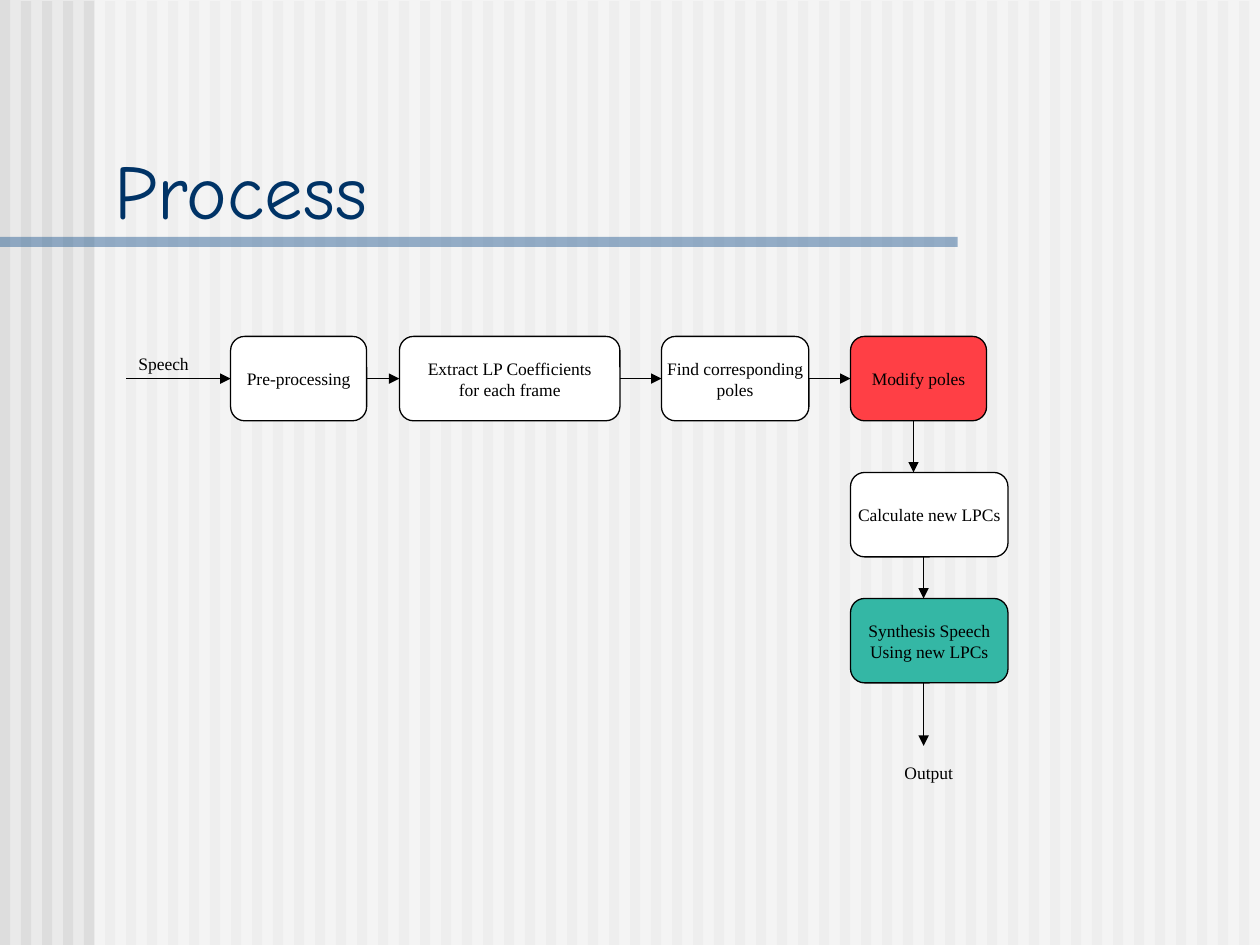
from typing import Any, NamedTuple, Optional

import pptx
import pptx.dml.color
import pptx.enum.shapes
import pptx.enum.text
import pptx.oxml.ns
import pptx.util
from lxml import etree

Inches = pptx.util.Inches
Pt = pptx.util.Pt
qn = pptx.oxml.ns.qn
Shape = pptx.enum.shapes.MSO_SHAPE
Anchor = pptx.enum.text.MSO_ANCHOR
Align = pptx.enum.text.PP_ALIGN
AutoSize = pptx.enum.text.MSO_AUTO_SIZE

ROW_TOP = 2.67
BOX_H = 0.67
ROW_MID = ROW_TOP + BOX_H / 2
SERIF = "Times New Roman"


class Box(NamedTuple):
    left: float
    top: float
    width: float
    lines: tuple[str, ...]
    fill: str = "FFFFFF"


class Label(NamedTuple):
    left: float
    top: float
    width: float
    height: float
    text: str
    size: float = 10
    font: str = SERIF
    color: str = "000000"
    wrap: bool = True


class Arrow(NamedTuple):
    x1: float
    y1: float
    x2: float
    y2: float


ROW = [
    Box(1.83, ROW_TOP, 1.08, ("Pre-processing",)),
    Box(3.17, ROW_TOP, 1.75, ("Extract LP Coefficients", "for each frame")),
    Box(5.25, ROW_TOP, 1.17, ("Find corresponding", "poles")),
    Box(6.75, ROW_TOP, 1.08, ("Modify poles",), "FF3F45"),
]
COLUMN = [
    Box(6.75, 3.75, 1.25, ("Calculate new LPCs",)),
    Box(6.75, 4.75, 1.25, ("Synthesis Speech", "Using new LPCs"), "34B7A5"),
]
DOWN_ARROWS = [
    Arrow(7.25, 3.34, 7.25, 3.75),
    Arrow(7.33, 4.42, 7.33, 4.75),
    Arrow(7.33, 5.42, 7.33, 5.92),
]
LABELS = [
    Label(0.81, 1.08, 2.41, 0.84, "Process", 44, "Comic Neue", "003366", False),
    Label(1, 2.75, 1, 0.27, "Speech"),
    Label(7.08, 6, 0.92, 0.27, "Output"),
]


def rgb(value: str) -> pptx.dml.color.RGBColor:
    return pptx.dml.color.RGBColor.from_string(value)


def apply(obj: Any, values: dict[str, Any]) -> None:
    for name, value in values.items():
        setattr(obj, name, value)


def write(tf: Any, lines: tuple[str, ...], size: float, font: str,
          color: str, align: Any) -> None:
    for i, line in enumerate(lines):
        p = tf.paragraphs[0] if i == 0 else tf.add_paragraph()
        p.alignment = align
        r = p.add_run()
        r.text = line
        apply(r.font, {"size": Pt(size), "name": font})
        r.font.color.rgb = rgb(color)


def add_filled(s: Any, kind: Any, left: float, top: float, width: float,
               height: float, fill: str) -> Any:
    sp = s.shapes.add_shape(kind, Inches(left), Inches(top), Inches(width), Inches(height))
    sp.shadow.inherit = False
    sp.fill.solid()
    sp.fill.fore_color.rgb = rgb(fill)
    return sp


def add_band(s: Any, left: float, top: float, width: float, height: float,
             fill: str, opacity: int = 100) -> None:
    sp = add_filled(s, Shape.RECTANGLE, left, top, width, height, fill)
    sp.line.fill.background()
    if opacity < 100:
        color = sp._element.spPr.find(qn("a:solidFill")).find(qn("a:srgbClr"))
        etree.SubElement(color, qn("a:alpha"), val=str(opacity * 1000))


def add_box(s: Any, box: Box) -> Any:
    sp = add_filled(s, Shape.ROUNDED_RECTANGLE, box.left, box.top, box.width, BOX_H, box.fill)
    sp.adjustments[0] = 0.167
    sp.line.color.rgb = rgb("000000")
    sp.line.width = Pt(0.75)
    tf = sp.text_frame
    apply(tf, {"word_wrap": False, "vertical_anchor": Anchor.MIDDLE})
    write(tf, box.lines, 10, SERIF, "000000", Align.CENTER)
    return sp


def add_label(s: Any, label: Label) -> None:
    sp = s.shapes.add_textbox(Inches(label.left), Inches(label.top),
                              Inches(label.width), Inches(label.height))
    tf = sp.text_frame
    apply(tf, {"word_wrap": label.wrap, "auto_size": AutoSize.SHAPE_TO_FIT_TEXT})
    write(tf, (label.text,), label.size, label.font, label.color, Align.LEFT)


def add_arrow(s: Any, arrow: Arrow, begin: Optional[Any] = None,
              end: Optional[Any] = None) -> None:
    cn = s.shapes.add_connector(pptx.enum.shapes.MSO_CONNECTOR.STRAIGHT,
                                *(Inches(v) for v in arrow))
    if begin is not None:
        cn.begin_connect(begin, 3)
    if end is not None:
        cn.end_connect(end, 1)
    cn.line.color.rgb = rgb("000000")
    cn.line.width = Pt(0.75)
    spPr = cn._element.spPr
    etree.SubElement(spPr.find(qn("a:ln")), qn("a:tailEnd"), type="triangle")
    etree.SubElement(spPr, qn("a:effectLst"))


def main() -> None:
    prs = pptx.Presentation()
    apply(prs, {"slide_width": Inches(10), "slide_height": Inches(7.5)})
    s = prs.slides.add_slide(prs.slide_layouts[6])
    s.background.fill.solid()
    s.background.fill.fore_color.rgb = rgb("EAEAEA")

    for i in range(60):
        top = 0.01 if i else 0
        add_band(s, i / 6, top, 0.08, 7.5 - top, "DDDDDD")
    add_band(s, 0.75, 0, 9.25, 7.5, "FFFFFF", 50)
    add_band(s, 0, 1.88, 7.6, 0.08, "336699", 50)

    row = [add_box(s, box) for box in ROW]
    for box in COLUMN:
        add_box(s, box)

    add_arrow(s, Arrow(1, ROW_MID, ROW[0].left, ROW_MID), end=row[0])
    for i in range(len(ROW) - 1):
        a, b = ROW[i], ROW[i + 1]
        add_arrow(s, Arrow(a.left + a.width, ROW_MID, b.left, ROW_MID), row[i], row[i + 1])
    for arrow in DOWN_ARROWS:
        add_arrow(s, arrow)
    for label in LABELS:
        add_label(s, label)

    prs.save("out.pptx")


if __name__ == "__main__":
    main()
